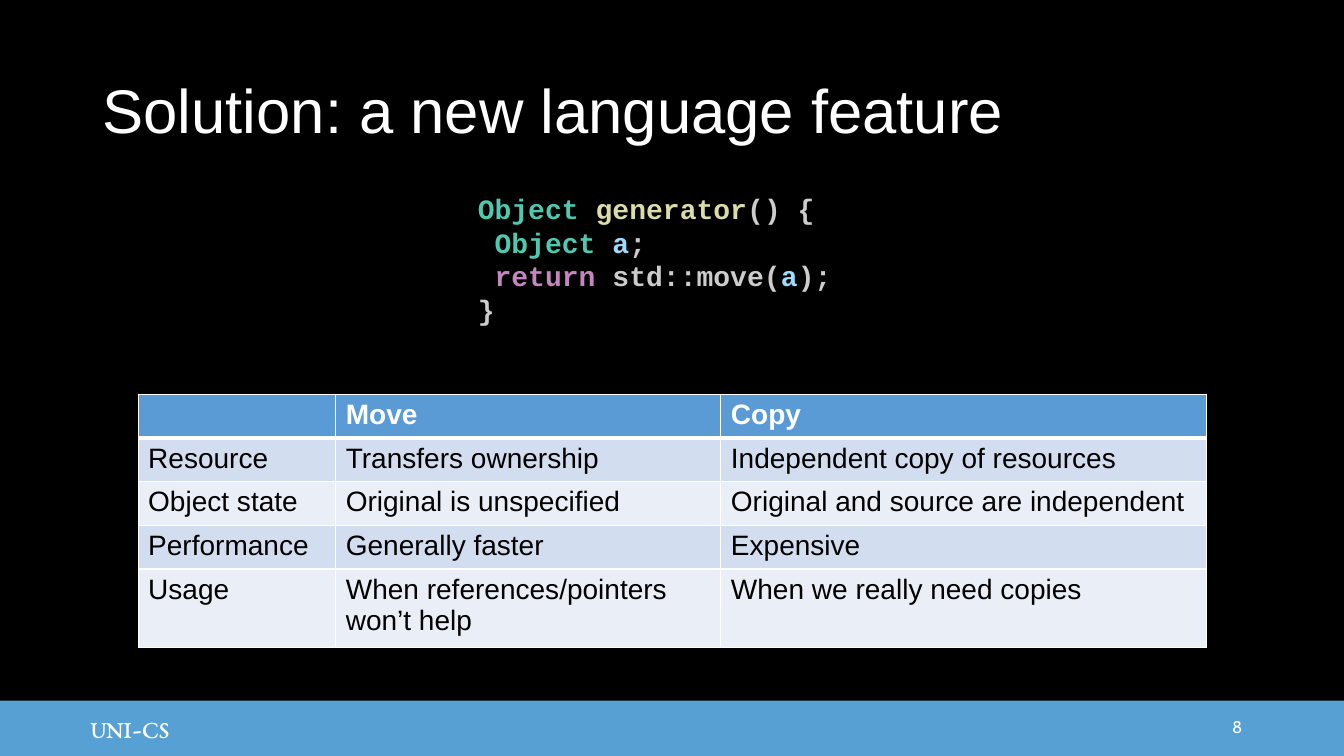
import pptx
import pptx.dml.color
import pptx.enum.shapes
import pptx.enum.text
import pptx.oxml
import pptx.oxml.ns
import pptx.util

Inches = pptx.util.Inches
Pt = pptx.util.Pt
RGBColor = pptx.dml.color.RGBColor
Align = pptx.enum.text.PP_ALIGN
Anchor = pptx.enum.text.MSO_ANCHOR

BLACK = RGBColor(0x00, 0x00, 0x00)
WHITE = RGBColor(0xFF, 0xFF, 0xFF)
FOOTER_BLUE = RGBColor(0x56, 0xA0, 0xD3)
HEADER_BLUE = RGBColor(0x5B, 0x9B, 0xD5)
BANDS = (RGBColor(0xEA, 0xEF, 0xF7), RGBColor(0xD2, 0xDE, 0xEF))
TYPE = RGBColor(0x4E, 0xC9, 0xB0)
FUNCTION = RGBColor(0xDC, 0xDC, 0xAA)
PLAIN = RGBColor(0xCC, 0xCC, 0xCC)
VARIABLE = RGBColor(0x9C, 0xDC, 0xFE)
KEYWORD = RGBColor(0xC5, 0x86, 0xC0)

TITLE = "Solution: a new language feature"
DEPARTMENT = "UNI-CS"
PAGE_NUMBER = "8"
CODE = [
    [("Object ", TYPE), ("generator", FUNCTION), ("() {", PLAIN)],
    [(" Object ", TYPE), ("a", VARIABLE), (";", PLAIN)],
    [(" return", KEYWORD), (" std::move(", PLAIN), ("a", VARIABLE), (");", PLAIN)],
    [("}", PLAIN)],
]
COMPARISON = [
    ("", "Move", "Copy"),
    ("Resource", "Transfers ownership", "Independent copy of resources"),
    ("Object state", "Original is unspecified", "Original and source are independent"),
    ("Performance", "Generally faster", "Expensive"),
    ("Usage", "When references/pointers won’t help", "When we really need copies"),
]
COLUMN_WIDTHS = (1.96, 3.82, 4.82)
ROW_HEIGHTS = (0.43, 0.43, 0.43, 0.43, 0.78)


def set_font(font, name, size, color, bold=False):
    font.name = name
    font.size = Pt(size)
    font.color.rgb = color
    font.bold = bold


def set_frame(shape, anchor, left=0.1, vertical=0.05):
    frame = shape.text_frame
    frame.word_wrap = True
    frame.vertical_anchor = anchor
    frame.margin_left, frame.margin_right = Inches(left), Inches(0.1)
    frame.margin_top = frame.margin_bottom = Inches(vertical)
    return frame


def add_text(box, text, name, size, align=Align.LEFT, vertical=0.05):
    shape = slide.shapes.add_textbox(*map(Inches, box))
    line = set_frame(shape, Anchor.MIDDLE, vertical=vertical).paragraphs[0]
    line.text = text
    line.alignment = align
    set_font(line.font, name, size, WHITE)
    return line


def set_borders(cell, top, bottom):
    properties = cell._tc.get_or_add_tcPr()
    for side, points in (("L", 1), ("R", 1), ("T", top), ("B", bottom)):
        properties.append(pptx.oxml.parse_xml(
            f'<a:ln{side} {pptx.oxml.ns.nsdecls("a")} w="{Pt(points)}">'
            f'<a:solidFill><a:srgbClr val="{WHITE}"/></a:solidFill></a:ln{side}>'))


presentation = pptx.Presentation()
presentation.slide_width = Inches(13.33)
presentation.slide_height = Inches(7.5)
slide = presentation.slides.add_slide(presentation.slide_layouts[6])
slide.background.fill.solid()
slide.background.fill.fore_color.rgb = BLACK

footer = slide.shapes.add_shape(
    pptx.enum.shapes.MSO_SHAPE.RECTANGLE, *map(Inches, (0, 6.95, 13.33, 0.55)))
footer.shadow.inherit = False
footer.fill.solid()
footer.fill.fore_color.rgb = FOOTER_BLUE
footer.line.fill.background()
department = set_frame(footer, Anchor.MIDDLE, left=0.9).paragraphs[0]
department.text = DEPARTMENT
department.alignment = Align.LEFT
set_font(department.font, "EB Garamond", 18, WHITE)

title = add_text((0.92, 0.4, 11.5, 1.45), TITLE, "Arial", 44, vertical=0.1)
title.line_spacing = 0.9
add_text((10.92, 7.01, 1.5, 0.4), PAGE_NUMBER, "Cabin", 12, Align.RIGHT)

code_box = slide.shapes.add_textbox(*map(Inches, (4.64, 1.85, 4.05, 1.45)))
code = set_frame(code_box, Anchor.TOP)
for index, tokens in enumerate(CODE):
    line = code.add_paragraph() if index else code.paragraphs[0]
    for text, color in tokens:
        token = line.add_run()
        token.text = text
        set_font(token.font, "Courier New", 20, color, bold=True)

comparison = slide.shapes.add_table(
    len(COMPARISON), len(COLUMN_WIDTHS), Inches(1.37), Inches(3.91),
    Inches(sum(COLUMN_WIDTHS)), Inches(sum(ROW_HEIGHTS))).table
for column, width in zip(comparison.columns, COLUMN_WIDTHS):
    column.width = Inches(width)
for row, (height, entries) in enumerate(zip(ROW_HEIGHTS, COMPARISON)):
    comparison.rows[row].height = Inches(height)
    header = row == 0
    for column, entry in enumerate(entries):
        cell = comparison.cell(row, column)
        set_borders(cell, top=3 if row == 1 else 1, bottom=3 if header else 1)
        cell.fill.solid()
        cell.fill.fore_color.rgb = HEADER_BLUE if header else BANDS[row % 2]
        cell.text = entry
        set_font(cell.text_frame.paragraphs[0].font, "Arial", 20,
                 WHITE if header else BLACK, bold=header)

presentation.save("out.pptx")
